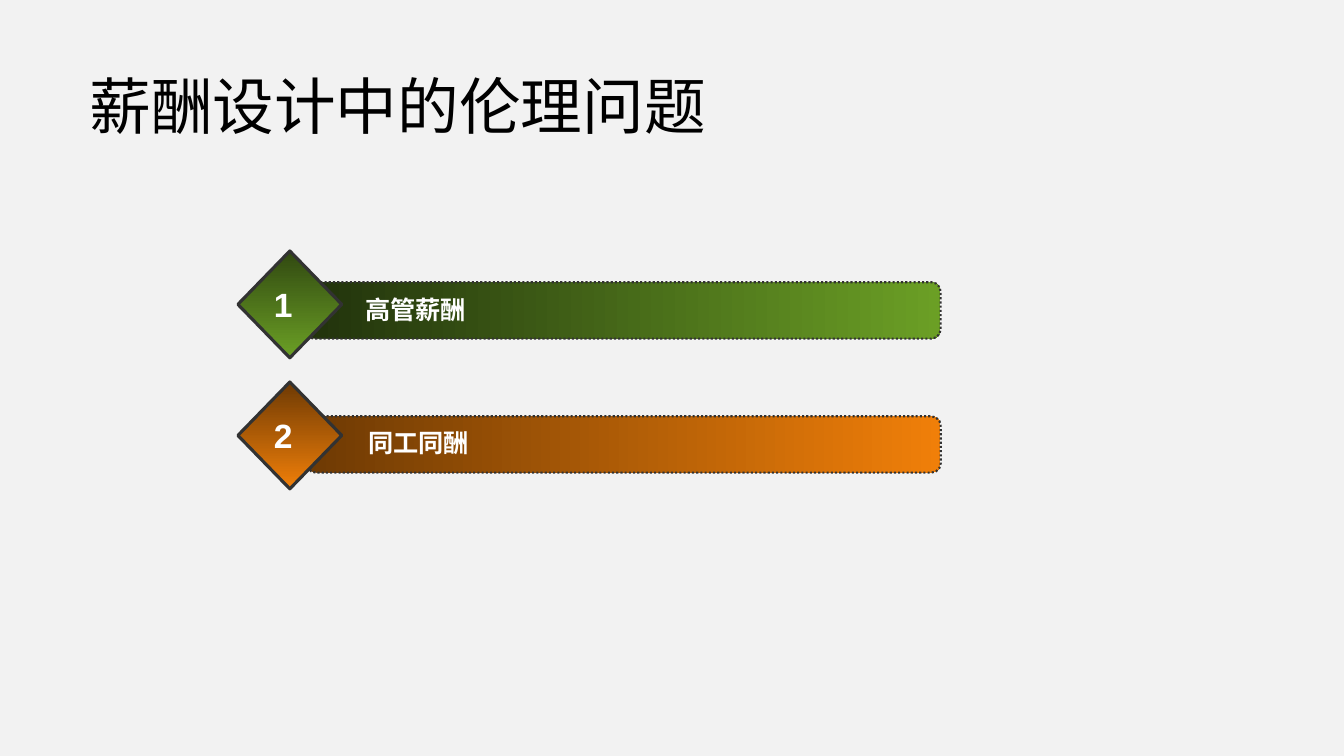
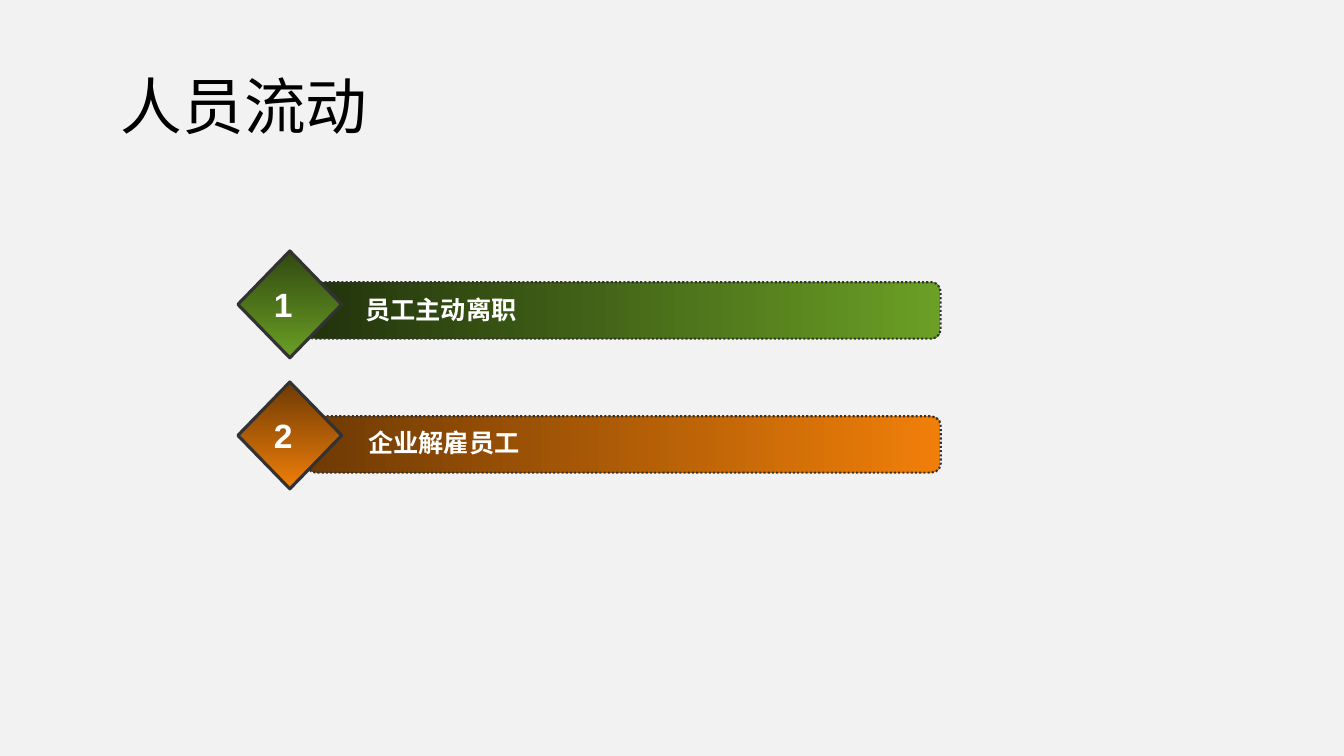
from dataclasses import dataclass

from pptx import Presentation
from pptx.dml.color import RGBColor
from pptx.enum.dml import MSO_LINE
from pptx.enum.shapes import MSO_SHAPE
from pptx.enum.text import MSO_ANCHOR, PP_ALIGN
from pptx.util import Inches, Pt

DIAMOND, ROUNDED = MSO_SHAPE.DIAMOND, MSO_SHAPE.ROUNDED_RECTANGLE
DOTTED, SOLID = MSO_LINE.ROUND_DOT, MSO_LINE.SOLID
MIDDLE, LEFT = MSO_ANCHOR.MIDDLE, PP_ALIGN.LEFT

SLIDES = [
    {"title": "薪酬设计中的伦理问题", "title_at": (0.79, 0.68, 12.54, 0.82),
     "items": ["高管薪酬", "同工同酬"]},
    {"title": "人员流动", "title_at": (1.1, 0.68, 10.26, 0.82),
     "items": ["员工主动离职", "企业解雇员工"]},
]

ROWS = [
    {"bar": (3.02, 2.8, 6.31, 0.56), "label": (3.49, 2.71, 5.3, 0.72),
     "bar_colors": ("21320C", "6B9F25"), "diamond_colors": ("314911", "6B9F25")},
    {"bar": (3.04, 4.13, 6.29, 0.56), "label": (3.52, 4.03, 7.66, 0.72),
     "bar_colors": ("6E3A04", "F07F09"), "diamond_colors": ("6E3A04", "F07F09")},
]
DIAMOND_LEFT, DIAMOND_TOP, DIAMOND_STEP = 2.36, 2.49, 1.3
DIAMOND_WIDTH, DIAMOND_HEIGHT = 1.03, 1.06
CORNER = 0.167
RIGHTWARD, DOWNWARD = 0, 270


@dataclass(frozen=True)
class Theme:
    background: str = "F2F2F2"
    outline: str = "323232"
    title: tuple = ("Montserrat", 44, False, "000000")
    label: tuple = ("Arial", 18, True, "FFFFFF")
    number: tuple = ("Arial", 24, True, "FFFFFF")


THEME = Theme()


def inches(values):
    return [Inches(value) for value in values]


def write(shape, text, style, wrap=False, line_spacing=None):
    frame = shape.text_frame
    frame.word_wrap = wrap
    frame.vertical_anchor = MIDDLE
    para = frame.paragraphs[0]
    para.alignment = LEFT
    para.line_spacing = line_spacing
    span = para.add_run()
    span.text = text
    name, size, bold, color = style
    for key, value in {"name": name, "size": Pt(size), "bold": bold}.items():
        setattr(span.font, key, value)
    span.font.color.rgb = RGBColor.from_string(color)


def add_plain(shapes, kind, place):
    shape = shapes.add_shape(kind, *inches(place))
    shape.shadow.inherit = False
    if kind == ROUNDED:
        shape.adjustments[0] = CORNER
    shape.fill.background()
    shape.line.fill.background()
    return shape


def add_gradient(shapes, kind, place, colors, angle, width, dash):
    shape = add_plain(shapes, kind, place)
    shape.fill.gradient()
    shape.fill.gradient_angle = angle
    for position, (stop, color) in enumerate(zip(shape.fill.gradient_stops, colors)):
        stop.position = position
        stop.color.rgb = RGBColor.from_string(color)
    shape.line.color.rgb = RGBColor.from_string(THEME.outline)
    shape.line.width = Pt(width)
    shape.line.dash_style = dash
    return shape


def add_item(slide, index, text, row):
    shapes = slide.shapes.add_group_shape().shapes
    add_gradient(shapes, ROUNDED, row["bar"], row["bar_colors"], RIGHTWARD, 1.5, DOTTED)
    write(add_plain(shapes, ROUNDED, row["label"]), text, THEME.label)
    place = (DIAMOND_LEFT, DIAMOND_TOP + index * DIAMOND_STEP, DIAMOND_WIDTH, DIAMOND_HEIGHT)
    diamond = add_gradient(shapes, DIAMOND, place, row["diamond_colors"], DOWNWARD, 2.25, SOLID)
    write(diamond, str(index + 1), THEME.number)


def add_slide(deck, content):
    slide = deck.slides.add_slide(deck.slide_layouts[6])
    slide.background.fill.solid()
    slide.background.fill.fore_color.rgb = RGBColor.from_string(THEME.background)
    title = slide.shapes.add_textbox(*inches(content["title_at"]))
    write(title, content["title"], THEME.title, wrap=True, line_spacing=0.9)
    for index, (text, row) in enumerate(zip(content["items"], ROWS)):
        add_item(slide, index, text, row)


def main():
    deck = Presentation()
    deck.slide_width, deck.slide_height = Inches(13.33), Inches(7.5)
    for content in SLIDES:
        add_slide(deck, content)
    deck.save("out.pptx")


if __name__ == "__main__":
    main()
